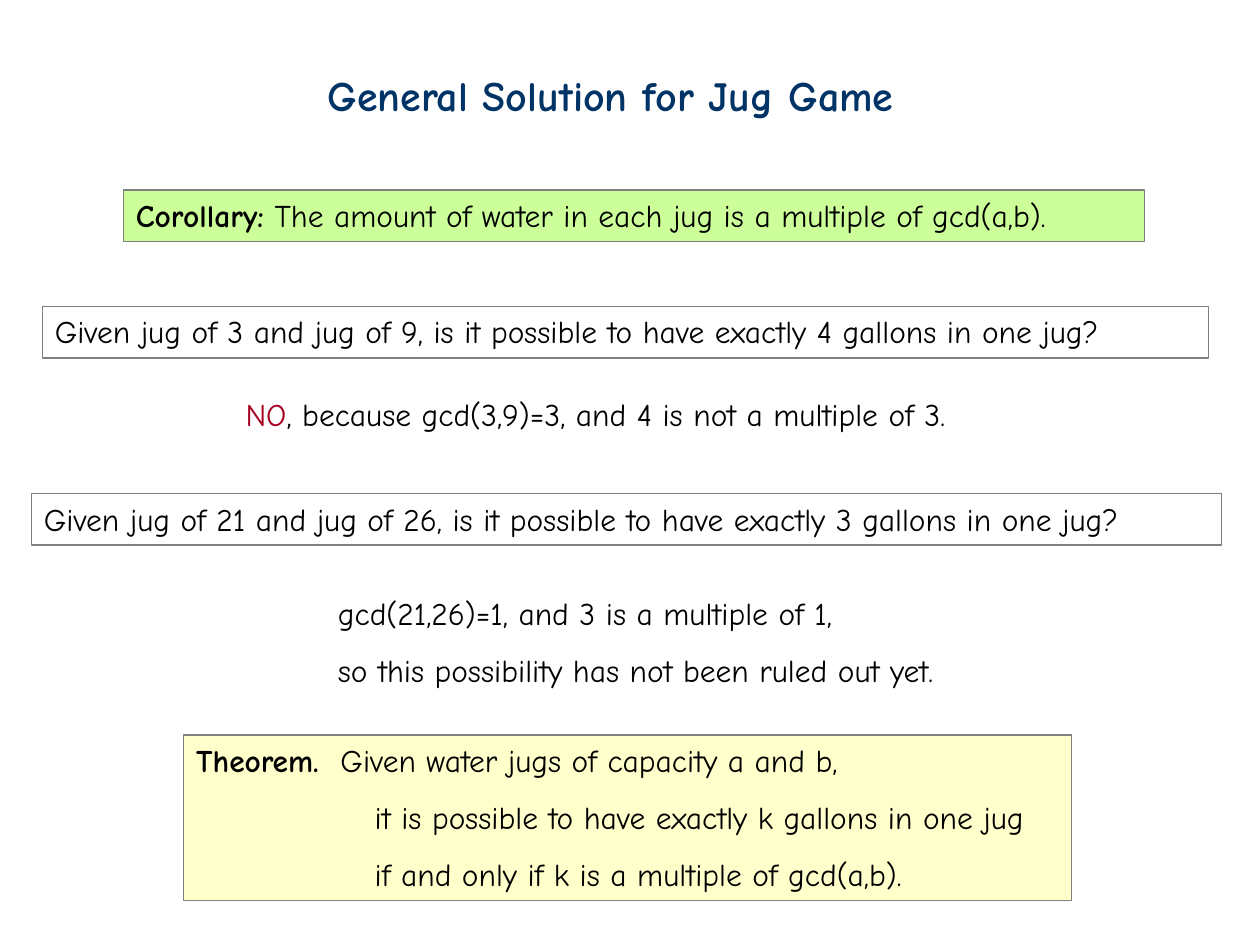
"""Build the slide on the general solution of the water jug puzzle."""
from pptx import Presentation
from pptx.dml.color import RGBColor
from pptx.enum.shapes import MSO_SHAPE
from pptx.enum.text import MSO_ANCHOR, PP_ALIGN
from pptx.util import Pt

COLORS = {
    "title": "003366",
    "text": "000000",
    "no": "A50021",
    "border": "808080",
    "corollary": "CCFF99",
    "theorem": "FFFFCC",
}


def add_run(p, text, size=18, color="text", bold=False):
    r = p.add_run()
    r.text = text
    r.font.name = "Comic Neue"
    r.font.size = Pt(size)
    r.font.bold = bold
    r.font.color.rgb = RGBColor.from_string(COLORS[color])


def add_block(s, box, lines, border=True, fill=None, margins=()):
    left, top, width, height = (Pt(v) for v in box)
    if border:
        sp = s.shapes.add_shape(MSO_SHAPE.RECTANGLE, left, top, width, height)
        sp.shadow.inherit = False
        sp.line.color.rgb = RGBColor.from_string(COLORS["border"])
        sp.line.width = Pt(0.75)
        if fill:
            sp.fill.solid()
            sp.fill.fore_color.rgb = RGBColor.from_string(COLORS[fill])
        else:
            sp.fill.background()
    else:
        sp = s.shapes.add_textbox(left, top, width, height)
    tf = sp.text_frame
    tf.word_wrap = True
    tf.vertical_anchor = MSO_ANCHOR.TOP
    for i, runs in enumerate(lines):
        p = tf.add_paragraph() if i else tf.paragraphs[0]
        p.alignment = PP_ALIGN.LEFT
        if i:
            p.line_spacing = 1.5
        if margins:
            margin, indent = margins[i]
            pPr = p._p.get_or_add_pPr()
            pPr.set("marL", str(Pt(margin)))
            pPr.set("indent", str(Pt(indent)))
        for text, style in runs:
            add_run(p, text, **style)


prs = Presentation()
prs.slide_width, prs.slide_height = Pt(720), Pt(540)
s = prs.slides.add_slide(prs.slide_layouts[6])

bold = {"bold": True}

add_block(s, (180, 36, 366.5, 36), [
    [("General Solution for Jug Game", {"size": 24, "color": "title", "bold": True})],
], border=False)

add_block(s, (70.5, 108.5, 583.5, 29.5), [
    [("Corollary:", bold),
     (" The amount of water in each jug is a multiple of gcd(a,b).", {})],
], fill="corollary")

add_block(s, (24.25, 175, 666.5, 29.5), [
    [("Given jug of 3 and jug of 9, is it possible to have exactly 4 gallons in one jug?", {})],
])

add_block(s, (133.25, 222, 454.5, 29), [
    [("NO", {"color": "no"}),
     (", because gcd(3,9)=3, and 4 is not a multiple of 3.", {})],
], border=False)

add_block(s, (18, 282, 680, 29.5), [
    [("Given jug of 21 and jug of 26, is it possible to have exactly 3 gallons in one jug?", {})],
])

add_block(s, (186, 336, 391.5, 61), [
    [("gcd(21,26)=1, and 3 is a multiple of 1,", {})],
    [("so this possibility has not been ruled out yet.", {})],
], border=False)

add_block(s, (105, 420, 507.5, 94.5), [
    [("Theorem.", bold), ("\tGiven water jugs of capacity a and b,", {})],
    [("it is possible to have exactly k gallons in one jug", {})],
    [("if and only if k is a multiple of gcd(a,b).", {})],
], fill="theorem", margins=[(82.5, -82.5), (102, 0), (102, 0)])

prs.save("out.pptx")
